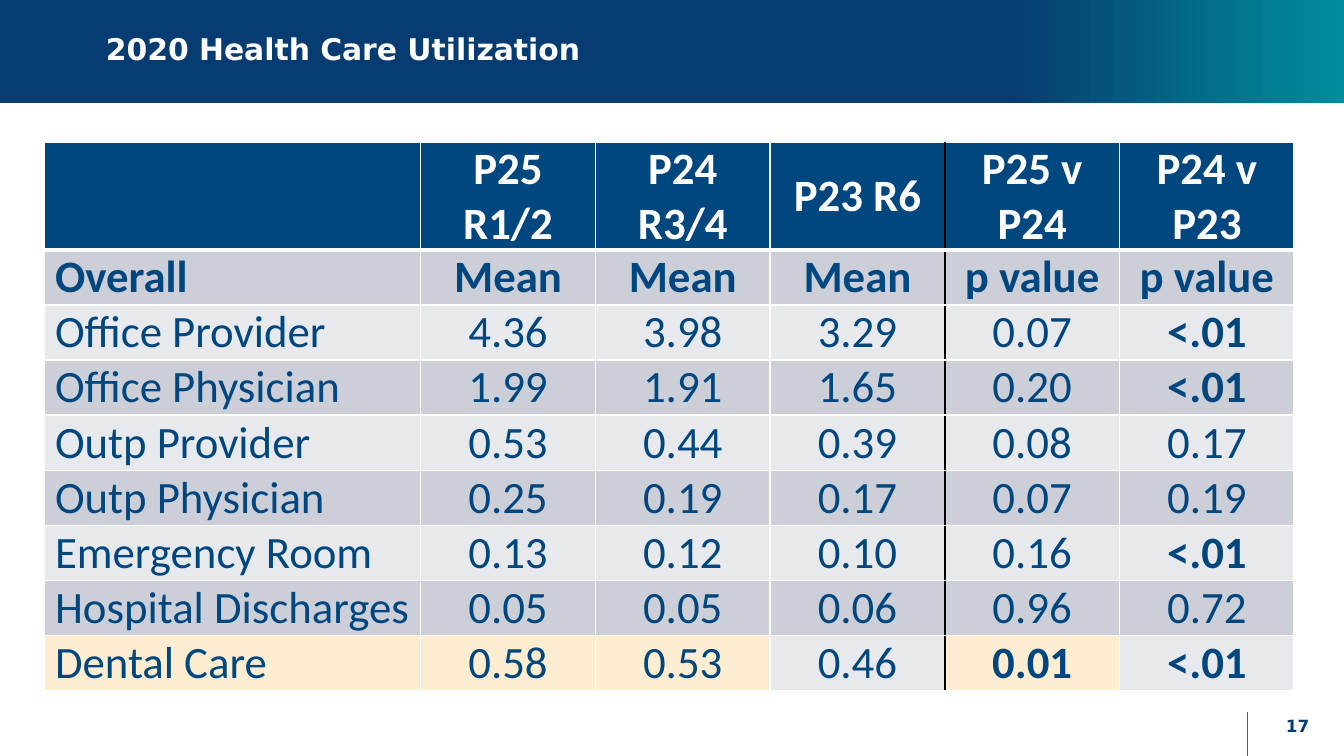
import pptx
import pptx.util
import pptx.dml.color
import pptx.enum.shapes
import pptx.enum.text
import pptx.oxml
import pptx.oxml.ns
from pptx.util import Inches

TITLE = "2020 Health Care Utilization"
PAGE = "17"
ROWS = [
    ["", "P25 R1/2", "P24 R3/4", "P23 R6", "P25 v P24", "P24 v P23"],
    ["Overall", "Mean", "Mean", "Mean", "p value", "p value"],
    ["Office Provider", "4.36", "3.98", "3.29", "0.07", "<.01"],
    ["Office Physician", "1.99", "1.91", "1.65", "0.20", "<.01"],
    ["Outp Provider", "0.53", "0.44", "0.39", "0.08", "0.17"],
    ["Outp Physician", "0.25", "0.19", "0.17", "0.07", "0.19"],
    ["Emergency Room", "0.13", "0.12", "0.10", "0.16", "<.01"],
    ["Hospital Discharges", "0.05", "0.05", "0.06", "0.96", "0.72"],
    ["Dental Care", "0.58", "0.53", "0.46", "0.01", "<.01"],
]
WIDTHS = [2.8] + [1.3] * 5
HEIGHT = 0.41
STRIPES = ["E7E9EC", "CCCFD8"]
MARKED = [(8, 0), (8, 1), (8, 2), (8, 4)]
STRONG = ["<.01", "0.01"]
NAVY, WHITE, BLACK, CREAM = "00467F", "FFFFFF", "000000", "FEEDD1"

ALIGN = pptx.enum.text.PP_ALIGN
MIDDLE = pptx.enum.text.MSO_ANCHOR.MIDDLE


def color(code):
    return pptx.dml.color.RGBColor.from_string(code)


def write(frame, text, size, face, code, bold, align):
    para = frame.paragraphs[0]
    para.alignment = align
    run = para.add_run()
    run.text = text
    font = run.font
    font.size = pptx.util.Pt(size)
    font.name = face
    font.bold = bold
    font.color.rgb = color(code)
    return para


def label(slide, box, text, size, code, align):
    frame = slide.shapes.add_textbox(*map(Inches, box)).text_frame
    frame.word_wrap = True
    frame.vertical_anchor = MIDDLE
    return write(frame, text, size, "DejaVu Sans", code, True, align)


def border(cell, side, code, width):
    props = cell._tc.get_or_add_tcPr()
    props.append(pptx.oxml.parse_xml(
        f'<a:{side} {pptx.oxml.ns.nsdecls("a")} w="{pptx.util.Pt(width)}">'
        f'<a:solidFill><a:srgbClr val="{code}"/></a:solidFill></a:{side}>'))


def style(cell, row, col, text):
    head = row == 0
    cell.margin_left = cell.margin_right = Inches(0.08)
    cell.margin_top = cell.margin_bottom = 0
    cell.vertical_anchor = MIDDLE
    border(cell, "lnL", BLACK if col == 4 else WHITE, 1)
    border(cell, "lnR", BLACK if col == 3 else WHITE, 1)
    border(cell, "lnT", WHITE, 3 if row == 1 else 1)
    border(cell, "lnB", WHITE, 3 if head else 1)
    shade = NAVY if head else CREAM if (row, col) in MARKED else STRIPES[row % 2]
    cell.fill.solid()
    cell.fill.fore_color.rgb = color(shade)
    if text:
        write(cell.text_frame, text, 24, "Calibri", WHITE if head else NAVY,
              row < 2 or text in STRONG, ALIGN.CENTER if col else ALIGN.LEFT)


def banner(slide):
    band = slide.shapes.add_shape(pptx.enum.shapes.MSO_SHAPE.RECTANGLE,
                                  0, 0, Inches(10), Inches(0.77))
    band.shadow.inherit = False
    band.line.fill.background()
    band.fill.gradient()
    band.fill.gradient_angle = 0
    stops = band.fill.gradient_stops
    for stop, place, code in zip(stops, [0.75, 1], ["073C72", "008D9C"]):
        stop.position = place
        stop.color.rgb = color(code)


def rule(slide):
    line = slide.shapes.add_connector(
        pptx.enum.shapes.MSO_CONNECTOR.STRAIGHT,
        *map(Inches, (9.28, 5.3, 9.28, 5.67)))
    line.line.color.rgb = color("008799")
    line.line.width = pptx.util.Pt(0.75)
    line._element.spPr.append(pptx.oxml.parse_xml(
        f'<a:effectLst {pptx.oxml.ns.nsdecls("a")}/>'))


def grid(slide):
    table = slide.shapes.add_table(
        len(ROWS), len(WIDTHS), Inches(0.33), Inches(1.06),
        Inches(sum(WIDTHS)), Inches(HEIGHT * len(ROWS))).table
    for col, width in zip(table.columns, WIDTHS):
        col.width = Inches(width)
    for row in table.rows:
        row.height = Inches(HEIGHT)
    for row, texts in enumerate(ROWS):
        for col, text in enumerate(texts):
            style(table.cell(row, col), row, col, text)


def main():
    deck = pptx.Presentation()
    deck.slide_width = Inches(10)
    deck.slide_height = deck.slide_width * 9 // 16
    slide = deck.slides.add_slide(deck.slide_layouts[6])
    banner(slide)
    rule(slide)
    title = label(slide, (0.69, 0, 8.15, 0.76), TITLE, 16, WHITE, ALIGN.LEFT)
    title.line_spacing = 0.9
    grid(slide)
    label(slide, (9.31, 5.25, 0.69, 0.3), PAGE, 9, "003C68", ALIGN.CENTER)
    deck.save("out.pptx")


if __name__ == "__main__":
    main()
